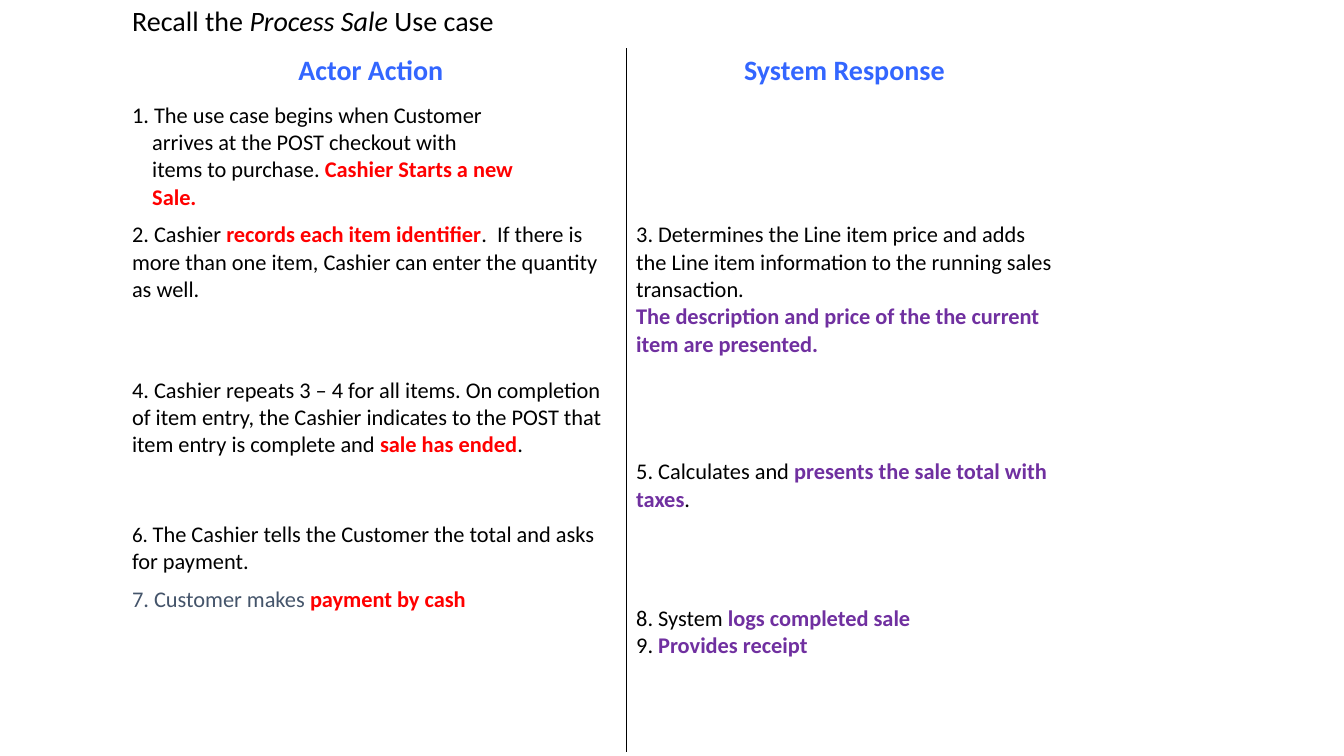
import pptx
import pptx.util
import pptx.dml.color
import pptx.enum.text
import pptx.oxml
import pptx.oxml.ns

PX = 9144
BLACK, BLUE, RED, PURPLE, SLATE = "000000", "3366FF", "FF0000", "7030A0", "44546A"
STYLES = {
    "title": {"size": 20, "color": BLACK},
    "title italic": {"size": 20, "color": BLACK, "italic": True},
    "heading": {"size": 20, "color": BLUE, "bold": True},
    "plain": {"size": 16, "color": BLACK},
    "small": {"size": 15, "color": BLACK},
    "slate": {"size": 16, "color": SLATE},
    "event": {"size": 16, "color": RED, "bold": True},
    "output": {"size": 16, "color": PURPLE, "bold": True},
}
COLUMNS = [500, 433]
ROWS = [48, 48, 117, 154, 143, 63, 170]
STEP_INDENT = 20
TOP_MARGIN = {(4, 1): 86, (6, 1): 24}
TEXTS = {
    (0, 0): [[("Recall the ", "title"), ("Process Sale ", "title italic"), ("Use case", "title")]],
    (1, 0): [[("Actor Action ", "heading")]],
    (1, 1): [[("System Response", "heading")]],
    (2, 0): [
        [("1. The use case begins when Customer", "plain")],
        [("arrives at the POST checkout with", "plain")],
        [("items to purchase. ", "plain"), ("Cashier Starts a new", "event")],
        [("Sale.", "event")],
    ],
    (3, 0): [[
        ("2. Cashier ", "plain"),
        ("records each item identifier", "event"),
        (".  If there is more than one item, Cashier can enter the quantity as well.", "plain"),
    ]],
    (3, 1): [
        [("3. Determines the Line item price and adds the Line item information "
          "to the running sales transaction.", "plain")],
        [("The description and price of the the current item are presented.", "output")],
    ],
    (4, 0): [[
        ("4. Cashier repeats 3 – 4 for all items. On completion of item entry, the Cashier "
         "indicates to the POST that item entry is complete and ", "plain"),
        ("sale has ended", "event"),
        (".", "plain"),
    ]],
    (4, 1): [[
        ("5. Calculates and ", "plain"),
        ("presents the sale total with taxes", "output"),
        (".", "plain"),
    ]],
    (5, 0): [[
        ("6. ", "small"),
        ("The Cashier tells the Customer the total and asks for payment.", "plain"),
    ]],
    (6, 0): [[("7. Customer makes ", "slate"), ("payment by cash", "event")]],
    (6, 1): [
        [("8. System ", "plain"), ("logs completed sale", "output")],
        [("9. ", "plain"), ("Provides receipt", "output")],
    ],
}


def rgb(value):
    return pptx.dml.color.RGBColor.from_string(value)


def format_span(span, style):
    values = {"name": "Calibri", "bold": False, "italic": False, **STYLES[style]}
    span.font.color.rgb = rgb(values.pop("color"))
    values["size"] = pptx.util.Pt(values["size"])
    for name, value in values.items():
        setattr(span.font, name, value)


def write_cell(cell, paragraphs, centred, indent):
    for index, spans in enumerate(paragraphs):
        para = cell.text_frame.paragraphs[0] if index == 0 else cell.text_frame.add_paragraph()
        if centred:
            para.alignment = pptx.enum.text.PP_ALIGN.CENTER
        if index and indent:
            para._p.get_or_add_pPr().set("marL", str(indent * PX))
        for text, style in spans:
            span = para.add_run()
            span.text = text
            format_span(span, style)


def set_borders(cell, visible):
    properties = cell._tc.get_or_add_tcPr()
    namespace = pptx.oxml.ns.nsdecls("a")
    for index, side in enumerate("LRTB"):
        paint = "<a:noFill/>"
        if side == visible:
            paint = f'<a:solidFill><a:srgbClr val="{BLACK}"/></a:solidFill>'
        line = f'<a:ln{side} {namespace} w="{pptx.util.Pt(1)}">{paint}</a:ln{side}>'
        properties.insert(index, pptx.oxml.parse_xml(line))


def add_use_case_table(page, left, top):
    table = page.shapes.add_table(
        len(ROWS), len(COLUMNS), left * PX, top * PX, sum(COLUMNS) * PX, sum(ROWS) * PX
    ).table
    table.first_row = False
    table.horz_banding = False
    for column, width in zip(table.columns, COLUMNS):
        column.width = width * PX
    for row, height in zip(table.rows, ROWS):
        row.height = height * PX
    table.cell(0, 0).merge(table.cell(0, 1))
    for row in range(len(ROWS)):
        for column in range(len(COLUMNS)):
            cell = table.cell(row, column)
            cell.fill.background()
            set_borders(cell, "RL"[column] if row else None)
            margins = {"left": 10, "right": 10, "top": 5, "bottom": 5}
            if (row, column) in TOP_MARGIN:
                margins.update(top=TOP_MARGIN[row, column], bottom=0)
            for side, margin in margins.items():
                setattr(cell, f"margin_{side}", margin * PX)
            indent = STEP_INDENT if row == 2 else 0
            write_cell(cell, TEXTS.get((row, column), []), row == 1, indent)


def main():
    deck = pptx.Presentation()
    deck.slide_width = 1333 * PX
    deck.slide_height = 750 * PX
    page = deck.slides.add_slide(deck.slide_layouts[6])
    add_use_case_table(page, 121, 0)
    deck.save("out.pptx")


if __name__ == "__main__":
    main()
